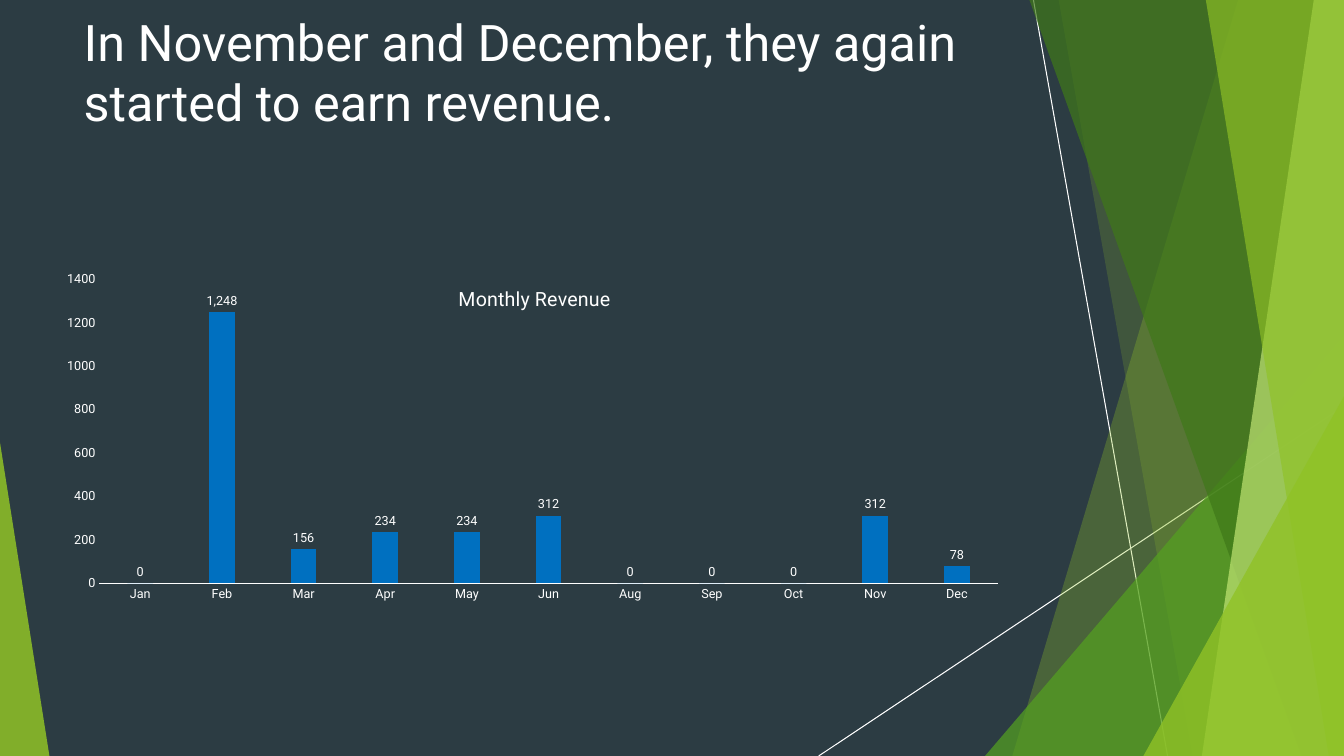
from lxml import etree
from pptx import Presentation
from pptx import util as u
from pptx.chart.data import CategoryChartData
from pptx.dml.color import RGBColor
from pptx.enum import chart as ch, shapes, text
from pptx.oxml import parse_xml
from pptx.oxml.ns import nsdecls, qn

W, H = 1333, 750  # slide size in hundredths of an inch
UNIT = u.Inches(0.01)
FONT, WHITE, GREEN = "Roboto", "FFFFFF", "90C226"


def paint(target, color, opacity=100):
    """Give a fill a solid colour, with opacity in percent."""
    target.solid()
    target.fore_color.rgb = RGBColor.from_string(color)
    if opacity < 100:
        for tone in target._xPr.iter(qn("a:srgbClr")):
            etree.SubElement(tone, qn("a:alpha"), val=str(opacity * 1000))


def write(font, size, frame=None, words="", color=WHITE):
    """Format a font; with a frame, put the words in it first."""
    if frame is not None:
        frame.text = words
        font = frame.paragraphs[0].runs[0].font
    font.name, font.size, font.bold = FONT, u.Pt(size), False
    paint(font.fill, color)


deck = Presentation()
deck.slide_width, deck.slide_height = W * UNIT, H * UNIT
slide = deck.slides.add_slide(deck.slide_layouts[5])
paint(slide.background.fill, "2C3C43")

# Crossing thin lines
for x1, y1, x2, y2 in [(1025, 0, 1158, H), (W, 403, 812, H)]:
    ray = slide.shapes.add_connector(
        shapes.MSO_CONNECTOR.STRAIGHT, x1 * UNIT, y1 * UNIT, x2 * UNIT, y2 * UNIT)
    ray.line.width = u.Pt(0.75)
    paint(ray.line.fill, WHITE)
    etree.SubElement(ray._element.spPr, qn("a:effectLst"))

# Translucent facets, back to front
RIGHT_EDGE = [(W, 0), (W, H)]
facets = [
    ([(1228, 0), *RIGHT_EDGE, (1004, H)], GREEN, 30),
    ([(1050, 0), *RIGHT_EDGE, (1183, H)], GREEN, 20),
    ([(W, 333), (W, H), (977, H)], "54A021", 72),
    ([(1021, 0), *RIGHT_EDGE, (1291, H)], "3F7819", 70),
    ([(1303, 0), *RIGHT_EDGE, (1192, H)], "C0E474", 70),
    ([(1196, 0), *RIGHT_EDGE, (1318, H)], GREEN, 65),
    ([(W, 393), (W, H), (1134, H)], GREEN, 80),
    ([(0, 439), (49, H), (0, H)], GREEN, 85),
]
for corners, color, opacity in facets:
    outline = slide.shapes.build_freeform(*corners[0], scale=UNIT)
    outline.add_line_segments(corners[1:], close=True)
    facet = outline.convert_to_shape()
    facet.shadow.inherit = False
    facet.line.fill.background()
    paint(facet.fill, color, opacity)

headline = slide.shapes.title
headline.left, headline.top = 73 * UNIT, 6 * UNIT
headline.width, headline.height = 940 * UNIT, 235 * UNIT
headline.text_frame.word_wrap = True
headline.text_frame.auto_size = text.MSO_AUTO_SIZE.NONE
headline.text_frame.vertical_anchor = text.MSO_ANCHOR.TOP
write(None, 36, headline.text_frame,
      "In November and December, they again started to earn revenue.")
headline.text_frame.paragraphs[0].alignment = text.PP_ALIGN.LEFT

# Monthly revenue chart
revenue = CategoryChartData(number_format="General")
revenue.categories = "Jan Feb Mar Apr May Jun Aug Sep Oct Nov Dec".split()
revenue.add_series("Series 1", [0, 1248, 156, 234, 234, 312, 0, 0, 0, 312, 78])
chart = slide.shapes.add_chart(
    ch.XL_CHART_TYPE.COLUMN_CLUSTERED,
    51 * UNIT, 262 * UNIT, 953 * UNIT, 348 * UNIT, revenue).chart
write(chart.font, 10)
chart.has_legend = False
write(None, 14, chart.chart_title.text_frame, "Monthly Revenue")
chart.chart_title.include_in_layout = False

months, amounts = chart.category_axis, chart.value_axis
for axis in (months, amounts):
    axis.has_major_gridlines = False
    axis.major_tick_mark = axis.minor_tick_mark = ch.XL_TICK_MARK.NONE
    write(axis.tick_labels.font, 9)
paint(months.format.line.fill, WHITE)
months.format.line.width = u.Pt(0.75)
amounts.format.line.fill.background()
amounts.minimum_scale, amounts.maximum_scale, amounts.major_unit = 0, 1400, 200

columns = chart.plots[0]
columns.gap_width, columns.overlap = 219, -27
columns.vary_by_categories = False
paint(columns.series[0].format.fill, "0070C0")
columns.has_data_labels = True
labels = columns.data_labels
labels.show_value = True
labels.position = ch.XL_LABEL_POSITION.OUTSIDE_END
labels.number_format, labels.number_format_is_linked = "#,##0", False
write(labels.font, 9)

# Places of the plot and the chart title, as shares of the chart
plot_area = chart._chartSpace.chart.plotArea
title_part = chart.chart_title._element
placements = [
    (plot_area, 0, {"layoutTarget": "inner", "xMode": "edge", "yMode": "edge",
                    "x": 0.05, "y": 0.044, "w": 0.935, "h": 0.866}),
    (title_part, 1, {"xMode": "edge", "yMode": "edge", "x": 0.42, "y": 0.05}),
]
for part, index, settings in placements:
    for old in part.findall(qn("c:layout")):
        part.remove(old)
    layout = parse_xml(f"<c:layout {nsdecls('c')}><c:manualLayout/></c:layout>")
    for key, value in settings.items():
        etree.SubElement(layout[0], qn(f"c:{key}"), val=str(value))
    part.insert(index, layout)

deck.save("out.pptx")
